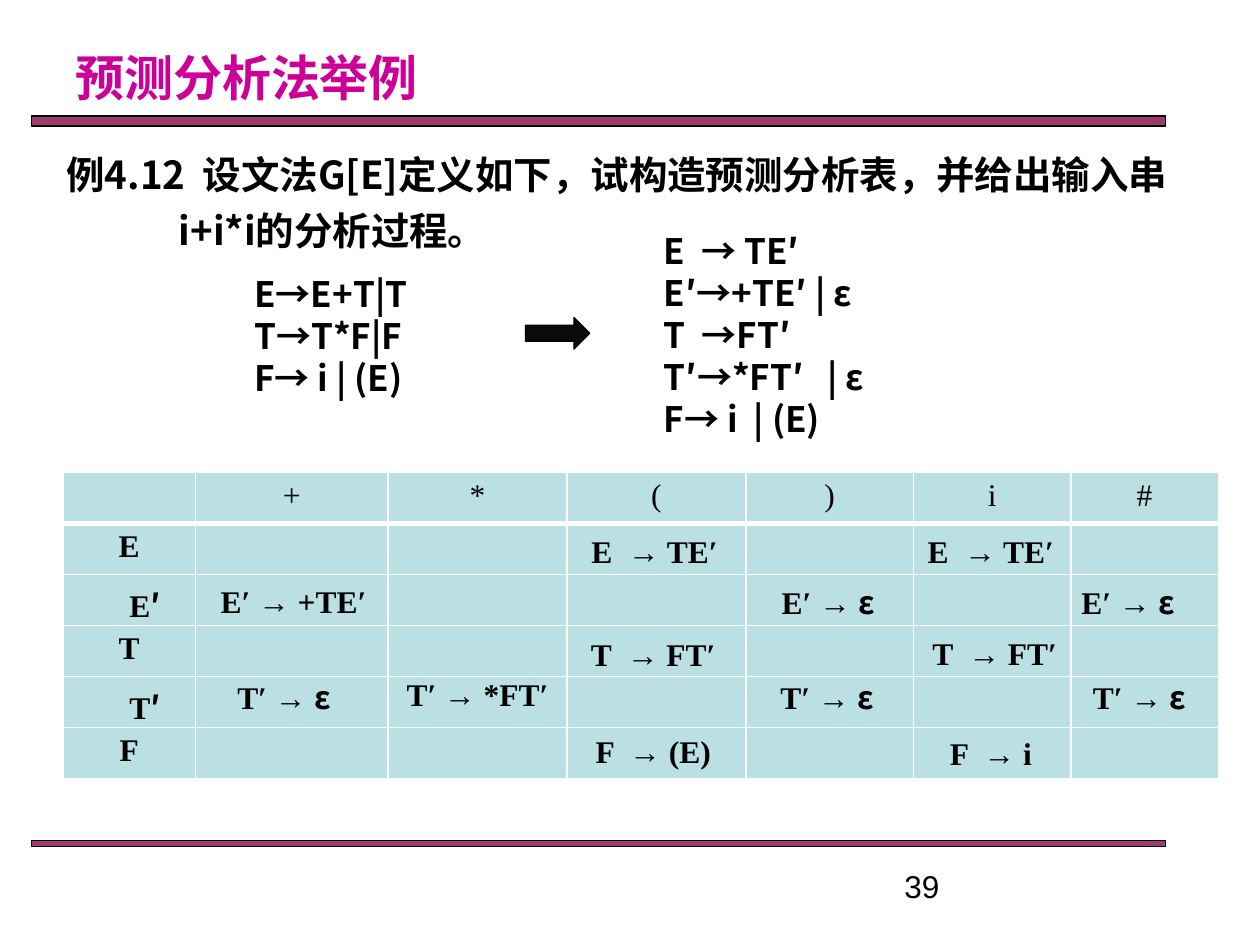
from lxml import etree
from pptx import Presentation
from pptx.dml.color import RGBColor
from pptx.enum.shapes import MSO_SHAPE as Shape
from pptx.enum.text import PP_ALIGN as Align
from pptx.oxml.ns import qn
from pptx.util import Inches, Pt

COLORS = {"title": "CC0099", "rule": "993366", "text": "000000",
          "cell": "BBE0E3", "border": "FFFFFF"}
SANS, SERIF, NUMBER = "Noto Sans CJK SC", "Times New Roman", "Arial"

COLUMNS = [1.05, 1.53, 1.42, 1.42, 1.33, 1.25, 1.17]
HEADERS = ["", "+", "*", "(", ")", "i", "#"]
NONTERMINALS = ["E", "E′", "T", "T′", "F"]
# Left and top within the table, width, text
PRODUCTIONS = [
    (6.7, 0.42, 1.33, "E  → TE′"), (4.03, 0.42, 1.33, "E  → TE′"),
    (1.12, 0.82, 1.42, "E′ → +TE′"), (5.45, 0.83, 1.25, "E′ → ε"),
    (7.83, 0.83, 1.25, "E′ → ε"),
    (6.73, 1.23, 1.33, "T  → FT′"), (4.02, 1.24, 1.33, "T  → FT′"),
    (2.58, 1.56, 1.42, "T′ → *FT′"), (5.44, 1.58, 1.25, "T′ → ε"),
    (7.92, 1.58, 1.25, "T′ → ε"), (1.13, 1.58, 1.25, "T′ → ε"),
    (6.7, 2.03, 1.33, "F  → i"), (4.02, 2.01, 1.33, "F  → (E)"),
]


def rgb(name):
    return RGBColor.from_string(COLORS[name])


def set_typeface(run, typeface):
    """Use one typeface for Latin and East Asian characters."""
    run.font.name = typeface
    latin = run.font._element.find(qn("a:latin"))
    east_asian = etree.Element(qn("a:ea"), typeface=typeface)
    latin.addnext(east_asian)


def write(paragraph, text, size, typeface, color="text", bold=True,
          align=None, sans_tail=""):
    """Fill a paragraph; a trailing sans_tail is set in the sans face."""
    paragraph.font.size = Pt(size)
    paragraph.font.bold = bold
    paragraph.font.color.rgb = rgb(color)
    paragraph.alignment = align
    parts = [(text, typeface)]
    if sans_tail and text.endswith(sans_tail):
        parts = [(text.removesuffix(sans_tail), typeface), (sans_tail, SANS)]
    for part, face in parts:
        run = paragraph.add_run()
        run.text = part
        set_typeface(run, face)


def add_text(slide, box, lines, size, typeface, **options):
    shape = slide.shapes.add_textbox(*map(Inches, box))
    frame = shape.text_frame
    frame.word_wrap = True
    for index, line in enumerate(lines):
        paragraph = frame.add_paragraph() if index else frame.paragraphs[0]
        write(paragraph, line, size, typeface, **options)
    return frame


def add_solid(slide, kind, box, color):
    """Outlined shape with a slightly transparent fill."""
    shape = slide.shapes.add_shape(kind, *map(Inches, box))
    shape.shadow.inherit = False
    shape.fill.solid()
    shape.fill.fore_color.rgb = rgb(color)
    fill_color = shape._element.spPr.find(qn("a:solidFill"))[0]
    etree.SubElement(fill_color, qn("a:alpha"), val="96000")
    shape.line.color.rgb = rgb("text")
    shape.line.width = Pt(0.75)


def add_frame(slide, left, top, width):
    # Title, two rules and page number
    add_text(slide, (left + 0.25, top, 4.33, 0.58), ["预测分析法举例"], 28,
             SANS, color="title")
    add_solid(slide, Shape.RECTANGLE, (left, top + 0.59, width, 0.08), "rule")
    add_solid(slide, Shape.RECTANGLE, (left, top + 6.34, width, 0.05), "rule")
    add_text(slide, (left + 6.83, top + 6.5, 2.33, 0.27), ["39"], 18, NUMBER,
             bold=False)


def add_example(slide, left, top, width):
    # Problem statement with hanging indent
    frame = add_text(
        slide, (left, top, width, 0.99),
        ["例4.12  设文法G[E]定义如下，试构造预测分析表，并给出输入串i+i*i的分析过程。"],
        22, SANS)
    paragraph = frame.paragraphs[0]
    paragraph.line_spacing = 1.2
    properties = paragraph._p.get_or_add_pPr()
    properties.set("marL", str(Inches(0.89)))
    properties.set("indent", str(-Inches(0.89)))
    # Grammar before and after removing left recursion
    add_text(slide, (left + 1.49, top + 1.03, 2.25, 1.11),
             ["E→E+T|T", "T→T*F|F", "F→ i | (E)"], 20, SANS)
    add_solid(slide, Shape.RIGHT_ARROW,
              (left + 3.74, top + 1.44, 0.51, 0.25), "text")
    add_text(slide, (left + 4.74, top + 0.69, 3, 1.78),
             ["E  → TE′", "E′→+TE′ | ε", "T  →FT′", "T′→*FT′   | ε",
              "F→ i  | (E)"], 20, SANS)


def style_cell(cell, bottom_width, top_width):
    cell.fill.solid()
    cell.fill.fore_color.rgb = rgb("cell")
    properties = cell._tc.get_or_add_tcPr()
    widths = {"L": 1, "R": 1, "T": top_width, "B": bottom_width}
    for index, (side, width) in enumerate(widths.items()):
        line = etree.Element(qn(f"a:ln{side}"), w=str(Pt(width)))
        fill = etree.SubElement(line, qn("a:solidFill"))
        etree.SubElement(fill, qn("a:srgbClr"), val=COLORS["border"])
        properties.insert(index, line)


def add_parsing_table(slide, left, top, width, height):
    # Grid with terminals across and nonterminals down
    table = slide.shapes.add_table(
        len(NONTERMINALS) + 1, len(HEADERS),
        *map(Inches, (left, top, width, height))).table
    for column, column_width in zip(table.columns, COLUMNS):
        column.width = Inches(column_width)
    for row_index, row in enumerate(table.rows):
        for cell in row.cells:
            style_cell(cell, 3 if row_index == 0 else 1,
                       3 if row_index == 1 else 1)
    for index, symbol in enumerate(HEADERS):
        if symbol:
            write(table.cell(0, index).text_frame.paragraphs[0], symbol, 18,
                  SERIF, bold=False, align=Align.CENTER)
    for index, symbol in enumerate(NONTERMINALS, start=1):
        cell = table.cell(index, 0)
        if symbol.endswith("′"):
            cell.margin_left = Inches(0.35)
        write(cell.text_frame.paragraphs[0], symbol, 18, SERIF,
              align=Align.CENTER, sans_tail="′")
    # Productions laid over the cells
    for x, y, box_width, text in PRODUCTIONS:
        add_text(slide, (left + x, top + y, box_width, 0.4), [text], 18,
                 SERIF, align=Align.CENTER, sans_tail="ε")


def main():
    presentation = Presentation()
    presentation.slide_width = Inches(10)
    presentation.slide_height = Inches(7.5)
    slide = presentation.slides.add_slide(presentation.slide_layouts[6])
    add_frame(slide, 0.25, 0.33, 9)
    add_example(slide, 0.43, 1.08, 9)
    add_parsing_table(slide, 0.5, 3.75, 9.17, 2.43)
    presentation.save("out.pptx")


if __name__ == "__main__":
    main()
